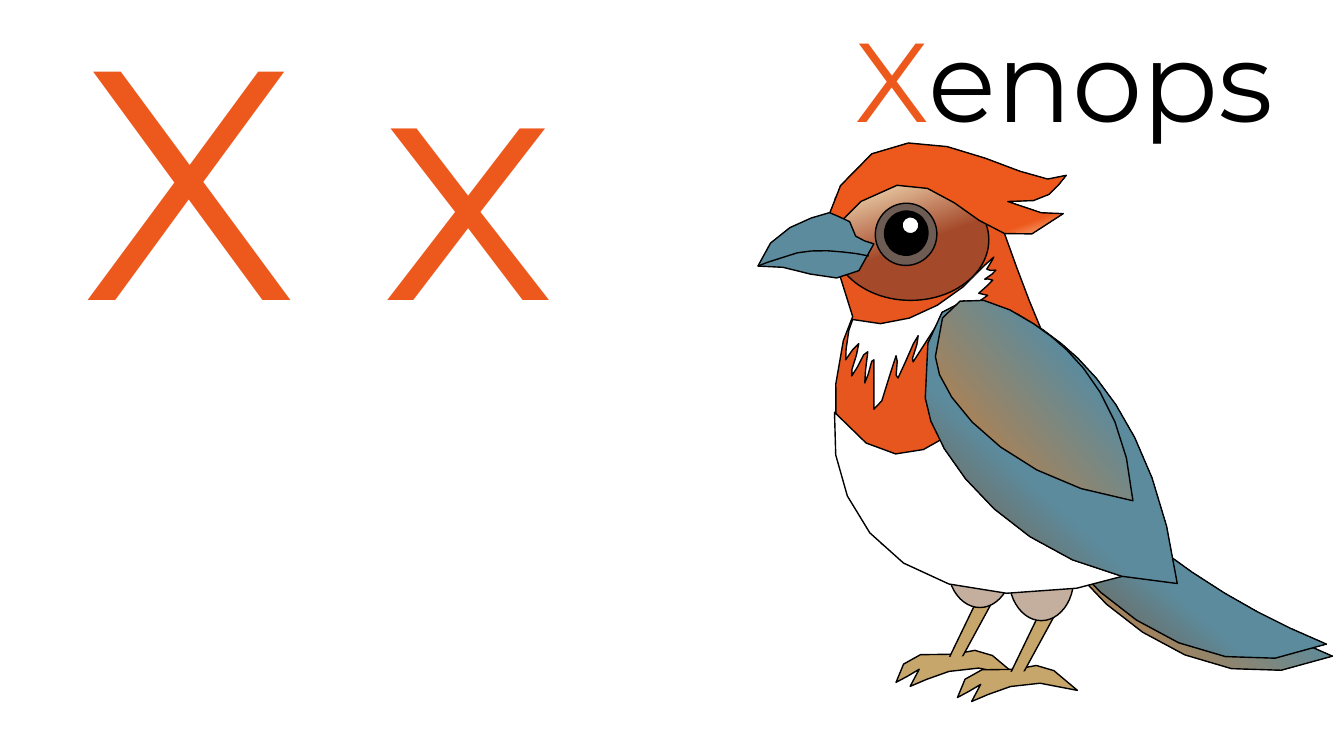
import math
from dataclasses import dataclass

import pptx
import pptx.dml.color
import pptx.enum.shapes
import pptx.enum.text
import pptx.util

Cm = pptx.util.Cm
GRID = Cm(0.0254)


@dataclass(frozen=True)
class Theme:
    font: str = "Montserrat"
    letter_size: int = 233
    word_size: int = 80
    outline_width: int = 1
    orange: str = "ED591D"
    chest: str = "E85620"
    black: str = "000000"
    white: str = "FFFFFF"
    blue: str = "5C8B9D"
    copper: str = "DF7C27"
    tail_brown: str = "7E4C26"
    wing_brown: str = "885126"
    claw: str = "C6A66B"
    thigh: str = "C4AE9D"
    cream: str = "FFF2CC"
    cheek: str = "A4492A"
    eye_ring: str = "6D5C53"


@dataclass(frozen=True)
class Blend:
    start: str
    end: str
    reach: float
    angle: int


def rgb(value):
    return pptx.dml.color.RGBColor.from_string(value)


def add_text(paragraph, text, *, font, size, color):
    run = paragraph.add_run()
    run.text = text
    run.font.name = font
    run.font.size = pptx.util.Pt(size)
    run.font.color.rgb = rgb(color)


def trace(outline):
    points = [outline[0]]
    for segment in outline[1:]:
        if len(segment) == 2:
            points.append(segment)
            continue
        x0, y0 = points[-1]
        x1, y1, x2, y2, x3, y3 = segment
        reach = math.dist((x0, y0), (x1, y1)) + math.dist((x1, y1), (x2, y2))
        reach += math.dist((x2, y2), (x3, y3))
        steps = min(8, max(2, round(math.sqrt(reach) / 2.5)))
        for step in range(1, steps + 1):
            t = step / steps
            a, b, c, d = (1 - t) ** 3, 3 * t * (1 - t) ** 2, 3 * t * t * (1 - t), t ** 3
            points.append((a * x0 + b * x1 + c * x2 + d * x3,
                           a * y0 + b * y1 + c * y2 + d * y3))
    return points


def turn_back(points, angle, pivot):
    cos, sin = math.cos(math.radians(angle)), math.sin(math.radians(angle))
    px, py = pivot
    return [(px + (x - px) * cos + (y - py) * sin,
             py - (x - px) * sin + (y - py) * cos) for x, y in points]


class Canvas:
    def __init__(self, slide, theme):
        self.theme = theme
        self.shapes = slide.shapes

    def begin_group(self):
        self.shapes = self.shapes.add_group_shape().shapes

    def text(self, left, top, width, height, size, pieces):
        box = self.shapes.add_textbox(Cm(left), Cm(top), Cm(width), Cm(height))
        frame = box.text_frame
        frame.word_wrap = True
        frame.auto_size = pptx.enum.text.MSO_AUTO_SIZE.SHAPE_TO_FIT_TEXT
        for words, color in pieces:
            add_text(frame.paragraphs[0], words, font=self.theme.font, size=size, color=color)

    def paint(self, shape, fill, outlined=True):
        shape.shadow.inherit = False
        if fill is None:
            shape.fill.background()
        elif isinstance(fill, Blend):
            shape.fill.gradient()
            shape.fill.gradient_angle = fill.angle
            first, last = shape.fill.gradient_stops
            first.color.rgb, last.color.rgb = rgb(fill.start), rgb(fill.end)
            first.position, last.position = 0, fill.reach
        else:
            shape.fill.solid()
            shape.fill.fore_color.rgb = rgb(fill)
        if outlined:
            shape.line.color.rgb = rgb(self.theme.black)
            shape.line.width = pptx.util.Pt(self.theme.outline_width)
        else:
            shape.line.fill.background()

    def ellipse(self, left, top, width, height, fill, angle=0):
        oval = self.shapes.add_shape(pptx.enum.shapes.MSO_SHAPE.OVAL,
                                     Cm(left), Cm(top), Cm(width), Cm(height))
        oval.rotation = angle
        self.paint(oval, fill)

    def outline(self, outline, fill, shift=(0, 0), angle=0, pivot=(0, 0),
                outlined=True, closed=True):
        points = turn_back(trace(outline), angle, pivot)
        points = [((x + shift[0]) * GRID, (y + shift[1]) * GRID) for x, y in points]
        builder = self.shapes.build_freeform(*points[0], scale=1.0)
        builder.add_line_segments(points[1:], close=closed)
        drawn = builder.convert_to_shape()
        drawn.rotation = angle
        self.paint(drawn, fill, outlined)


TAIL = [(1089, 501), (1055, 476, 1023, 360, 1042, 518), (1049, 571, 1186, 712, 1322, 651),
        (1237, 616, 1172, 574, 1089, 501)]
FOOT = [(952, 649), (881, 641, 896, 674, 889, 677), (889, 680, 912, 662, 912, 664), (903, 681),
        (921, 675, 953, 651, 1008, 670), (973, 631, 953, 650, 952, 649)]
SHANK = [(990, 587), (972, 590), (942, 652), (953, 655)]
ANKLE = [(965, 657), (956, 651), (933, 652), (938, 656)]
BODY = [(981, 191), (1005, 135, 747, 100, 846, 314), (824, 345, 760, 668, 1143, 567),
        (1177, 570, 1063, 397, 1036, 334), (1009, 272, 994, 220, 981, 191)]
COLLAR = [
    (976, 264), (946, 300, 890, 333, 846, 317), (842, 319, 838, 355, 839, 357),
    (841, 358, 851, 335, 852, 341), (853, 347, 841, 374, 845, 373),
    (849, 371, 859, 343, 861, 349), (862, 355, 855, 382, 858, 380),
    (861, 378, 866, 348, 867, 357), (867, 406),
    (874, 415, 885, 359, 889, 353), (893, 348, 886, 384, 891, 375),
    (896, 366, 909, 332, 911, 333), (914, 334, 900, 366, 906, 359), (933, 317),
    (952, 310, 920, 334, 926, 335), (954, 343, 983, 308, 980, 305),
    (977, 302, 964, 306, 966, 302), (967, 298, 982, 296, 980, 293),
    (978, 289, 969, 294, 971, 291), (973, 287, 986, 280, 985, 278),
    (985, 273, 975, 280, 977, 277), (979, 275, 990, 269, 988, 268),
    (987, 267, 977, 270, 979, 267), (980, 264, 988, 254, 986, 255)]
BELLY = [(1048, 357), (974, 373, 915, 521, 828, 409), (818, 522, 913, 644, 1151, 562)]
CREST = [(1000, 200), (1043, 203, 1046, 187, 1058, 174), (1024, 205, 859, 44, 811, 243),
         (938, 85, 965, 300, 1055, 212), (1029, 215, 1018, 204, 1000, 200)]
WING = [(1053, 341), (1020, 314, 908, 236, 918, 395), (922, 448, 1013, 574, 1168, 579),
        (1149, 436, 1088, 369, 1053, 341)]
COVERT = [(1043, 334), (1017, 314, 929, 252, 928, 354), (928, 389, 995, 478, 1124, 497),
          (1117, 405, 1071, 356, 1043, 334)]
BEAK = [(843, 220), (837, 216, 828, 214, 823, 211), (803, 216, 762, 228, 752, 264),
        (790, 257, 850, 307, 867, 242), (858, 237, 847, 242, 843, 220)]
MOUTH = [(862, 254), (854, 252, 846, 251, 836, 250), (827, 249, 815, 248, 805, 249),
         (795, 249, 787, 252, 778, 255), (769, 257, 752, 264, 752, 264)]


def draw_bird(canvas):
    theme = canvas.theme
    canvas.outline(TAIL, Blend(theme.copper, theme.blue, 0.56, 50))
    canvas.outline(TAIL, Blend(theme.tail_brown, theme.blue, 0.38, 50), shift=(-6, -12))
    for stride in ((0, 0), (61, 15)):
        canvas.outline(FOOT, theme.claw, stride)
        canvas.outline(SHANK, theme.claw, stride)
        canvas.outline(ANKLE, theme.claw, stride, angle=38.9, pivot=(949, 655), outlined=False)
    for left, top in ((23.88, 13.18), (25.43, 13.51)):
        canvas.ellipse(left, top, 1.63, 2.13, theme.thigh)
    canvas.outline(BODY, theme.chest)
    canvas.outline(COLLAR, theme.white)
    canvas.outline(BELLY, theme.white)
    canvas.ellipse(20.98, 4.52, 3.94, 3.05, Blend(theme.cream, theme.cheek, 0.54, 290))
    for left, top, width, height, color in (
            (22.05, 5.13, 1.57, 1.55, theme.eye_ring),
            (22.28, 5.33, 1.12, 1.09, theme.black),
            (22.73, 5.46, 0.43, 0.43, theme.white)):
        canvas.ellipse(left, top, width, height, color, angle=288.7)
    canvas.outline(CREST, Blend(theme.cream, theme.orange, 0.19, 110))
    canvas.outline(WING, Blend(theme.wing_brown, theme.blue, 0.39, 50), angle=3, pivot=(1044, 437))
    canvas.outline(COVERT, Blend(theme.copper, theme.blue, 0.66, 50), angle=9.4, pivot=(1030, 394))
    canvas.outline(BEAK, theme.blue)
    canvas.outline(MOUTH, None, closed=False)


def main():
    theme = Theme()
    deck = pptx.Presentation()
    deck.slide_width, deck.slide_height = Cm(33.87), Cm(19.05)
    canvas = Canvas(deck.slides.add_slide(deck.slide_layouts[6]), theme)
    canvas.text(1.83, -0.76, 16.59, 10.21, theme.letter_size, [("X x", theme.orange)])
    canvas.begin_group()
    canvas.text(21.31, 0.13, 12.45, 3.68, theme.word_size,
                [("X", theme.orange), ("enops", theme.black)])
    draw_bird(canvas)
    deck.save("out.pptx")


if __name__ == "__main__":
    main()
